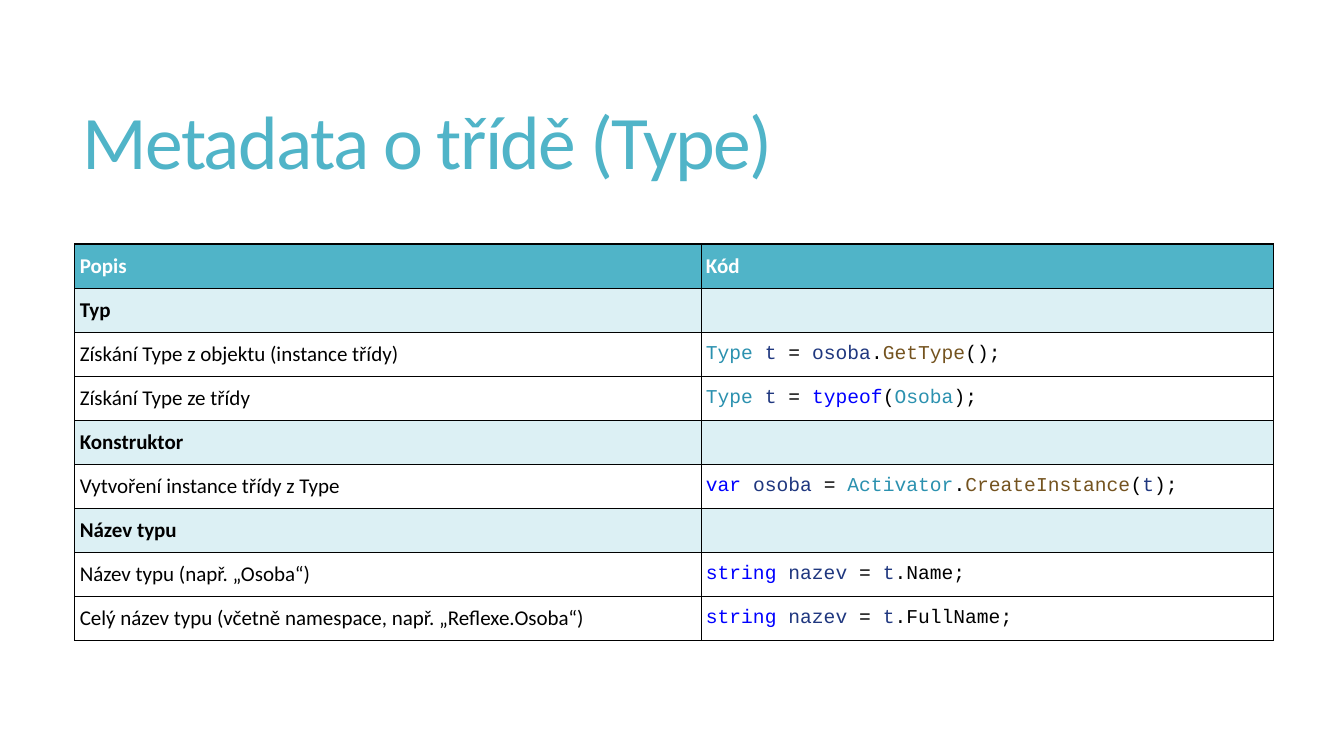
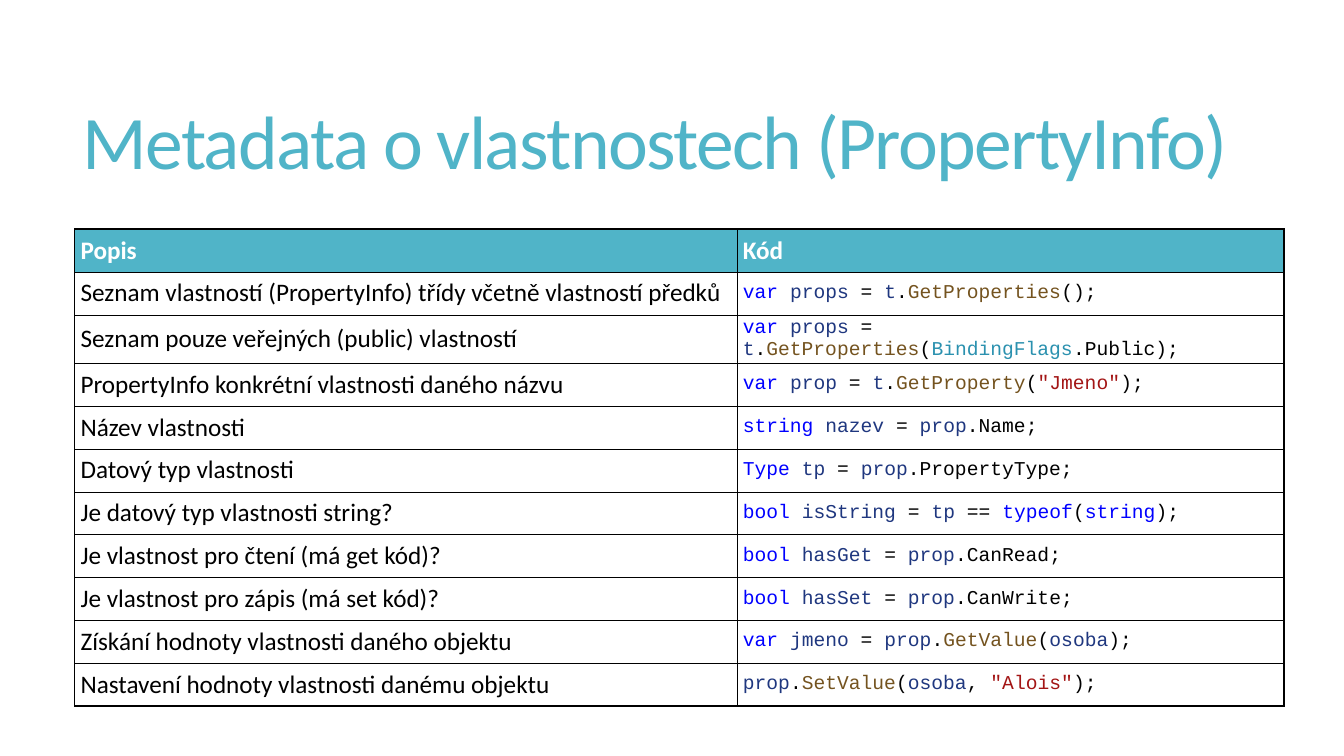
from itertools import groupby

from lxml import etree
from pptx import Presentation
from pptx import util as u
from pptx.dml.color import RGBColor
from pptx.enum import text
from pptx.oxml import ns

TEAL = RGBColor(0x50, 0xB4, 0xC8)
PALE = RGBColor(0xDC, 0xF0, 0xF4)
WHITE = RGBColor(0xFF, 0xFF, 0xFF)
BLACK = RGBColor(0x00, 0x00, 0x00)
BLUE = RGBColor(0x00, 0x00, 0xFF)
NAVY = RGBColor(0x1F, 0x37, 0x7F)
CYAN = RGBColor(0x2B, 0x91, 0xAF)
BROWN = RGBColor(0x74, 0x53, 0x1F)
RED = RGBColor(0xA3, 0x15, 0x15)

SANS, MONO = "Calibri", "Courier New"
KEYS = {"var", "string", "bool", "typeof"}

TYPES = [
    ("Popis", "Kód"),
    ("Typ", ""),
    ("Získání Type z objektu (instance třídy)", "Type t = osoba.GetType();"),
    ("Získání Type ze třídy", "Type t = typeof(Osoba);"),
    ("Konstruktor", ""),
    ("Vytvoření instance třídy z Type", "var osoba = Activator.CreateInstance(t);"),
    ("Název typu", ""),
    ("Název typu (např. „Osoba“)", "string nazev = t.Name;"),
    ("Celý název typu (včetně namespace, např. „Reflexe.Osoba“)",
     "string nazev = t.FullName;"),
]
PROPS = [
    ("Popis", "Kód"),
    ("Seznam vlastností (PropertyInfo) třídy včetně vlastností předků",
     "var props = t.GetProperties();"),
    ("Seznam pouze veřejných (public) vlastností",
     "var props = t.GetProperties(BindingFlags.Public);"),
    ("PropertyInfo konkrétní vlastnosti daného názvu",
     'var prop = t.GetProperty("Jmeno");'),
    ("Název vlastnosti", "string nazev = prop.Name;"),
    ("Datový typ vlastnosti", "Type tp = prop.PropertyType;"),
    ("Je datový typ vlastnosti string?", "bool isString = tp == typeof(string);"),
    ("Je vlastnost pro čtení (má get kód)?", "bool hasGet = prop.CanRead;"),
    ("Je vlastnost pro zápis (má set kód)?", "bool hasSet = prop.CanWrite;"),
    ("Získání hodnoty vlastnosti daného objektu", "var jmeno = prop.GetValue(osoba);"),
    ("Nastavení hodnoty vlastnosti danému objektu", 'prop.SetValue(osoba, "Alois");'),
]


def tint(word, prev, after, keys):
    """Return the syntax colour of a code token from its neighbours."""
    if word in keys:
        return BLUE
    if word.startswith('"'):
        return RED
    if not word.isalnum():
        return BLACK
    if prev.endswith("."):
        return BROWN if after.startswith("(") else BLACK
    return CYAN if word[0].isupper() else NAVY


class Deck:
    """Holds the shared style and the current slide."""

    def __init__(self):
        """Start an empty widescreen deck."""
        self.prs = Presentation()
        self.prs.slide_width, self.prs.slide_height = u.Cm(33.87), u.Cm(19.05)
        self.slide = None

    def title(self, words):
        """Add a slide with the styled title."""
        self.slide = self.prs.slides.add_slide(self.prs.slide_layouts[5])
        box = self.slide.shapes.title
        box.left, box.top = u.Cm(1.83), u.Cm(1.4)
        box.width, box.height = u.Cm(29.92), u.Cm(4.6)
        frame = box.text_frame
        frame.text = words
        frame.vertical_anchor = text.MSO_ANCHOR.MIDDLE
        par = frame.paragraphs[0]
        par.alignment, par.line_spacing = text.PP_ALIGN.LEFT, 0.85
        run = par.runs[0]
        self.font(run, SANS, 54, TEAL)
        run._r.get_or_add_rPr().set("spc", "-120")

    def font(self, run, name, size, color, bold=False):
        """Format one run."""
        font = run.font
        font.name, font.size, font.bold = name, u.Pt(size), bold
        font.color.rgb = color

    def code(self, par, line, keys):
        """Write a line of code with syntax colours."""
        parts = ["".join(group) for _, group in
                 groupby(line, lambda c: c.isalnum() or c == '"')]
        for prev, word, after in zip([""] + parts, parts, parts[1:] + [""]):
            run = par.add_run()
            run.text = word
            self.font(run, MONO, 14, tint(word, prev, after, keys))

    def edge(self, cell, outer):
        """Draw the cell borders, heavier on the outer sides."""
        props = cell._tc.get_or_add_tcPr()
        for side in "LRTB":
            width = u.Pt(1 if side in outer else 0.25)
            line = etree.SubElement(props, ns.qn("a:ln" + side), w=str(width))
            fill = etree.SubElement(line, ns.qn("a:solidFill"))
            etree.SubElement(fill, ns.qn("a:srgbClr"), val=str(BLACK))

    def table(self, rows, top, cols, high, size, pad, keys=KEYS):
        """Add a table of descriptions and code."""
        grid = self.slide.shapes.add_table(
            len(rows), len(cols), u.Cm(1.88), u.Cm(top),
            u.Cm(sum(cols)), u.Cm(high * len(rows))).table
        grid.first_row = grid.horz_banding = False
        for col, wide in zip(grid.columns, cols):
            col.width = u.Cm(wide)
        for r, row in enumerate(rows):
            grid.rows[r].height = u.Cm(high)
            head, group = r == 0, not row[1]
            for c, words in enumerate(row):
                cell = grid.cell(r, c)
                outer = ("L", "R")[c] + ("T" if head else "")
                outer += "B" if r == len(rows) - 1 else ""
                self.edge(cell, outer)
                if head or group:
                    cell.fill.solid()
                    cell.fill.fore_color.rgb = TEAL if head else PALE
                else:
                    cell.fill.background()
                cell.vertical_anchor = text.MSO_ANCHOR.MIDDLE
                cell.margin_left = cell.margin_right = u.Cm(pad)
                cell.margin_top = cell.margin_bottom = u.Cm(0.05)
                par = cell.text_frame.paragraphs[0]
                if c and not head:
                    self.code(par, words, keys)
                else:
                    par.text = words
                    self.font(par.runs[0], SANS, size,
                              WHITE if head else BLACK, head or group)


def main():
    """Build and save the deck."""
    deck = Deck()
    deck.title("Metadata o třídě (Type)")
    deck.table(TYPES, 6.15, (15.78, 14.43), 1.11, 15, 0.13)
    deck.title("Metadata o vlastnostech (PropertyInfo)")
    deck.table(PROPS, 5.77, (16.69, 13.79), 1.08, 18, 0.15, KEYS | {"Type"})
    deck.prs.save("out.pptx")


if __name__ == "__main__":
    main()
